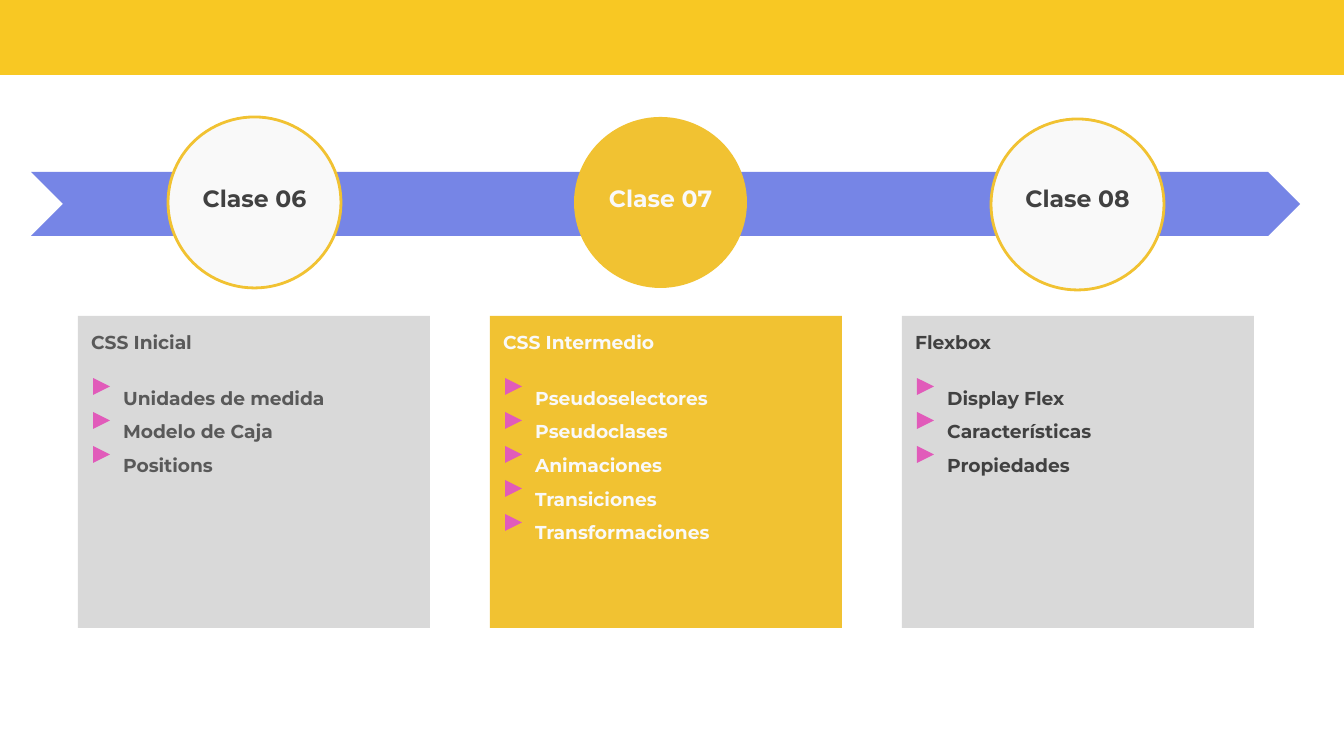
import pptx
import pptx.util
import pptx.dml.color
import pptx.enum.shapes
import pptx.enum.text

PX = 914400 / 134.4
FONT = "Montserrat"
GOLD, GREY, PALE, DARK = "F1C232", "D9D9D9", "F9F9F9", "414141"
SHAPE = pptx.enum.shapes.MSO_SHAPE
ALIGN = pptx.enum.text.PP_ALIGN


def px(length):
    return pptx.util.Emu(round(length * PX))


def color(value):
    return pptx.dml.color.RGBColor.from_string(value)


def add_block(slide, kind, box, fill, outline=None):
    block = slide.shapes.add_shape(kind, *map(px, box))
    block.shadow.inherit = False
    block.fill.solid()
    block.fill.fore_color.rgb = color(fill)
    if outline:
        block.line.color.rgb = color(outline)
        block.line.width = pptx.util.Pt(1.5)
    else:
        block.line.fill.background()
    return block


def add_text(slide, box, lines, size, ink, align):
    frame = slide.shapes.add_textbox(*map(px, box)).text_frame
    frame.word_wrap = True
    frame.margin_left = frame.margin_right = pptx.util.Inches(0.1)
    frame.margin_top = frame.margin_bottom = pptx.util.Inches(0.1)
    frame.text = "\n".join(lines)
    for paragraph in frame.paragraphs:
        paragraph.alignment = align
        for run in paragraph.runs:
            run.font.name = FONT
            run.font.size = pptx.util.Pt(size)
            run.font.bold = True
            run.font.color.rgb = color(ink)
    return frame.paragraphs


def add_class_circle(slide, box, label, fill, ink):
    left, top, width, height = box
    outline = GOLD if fill != GOLD else None
    add_block(slide, SHAPE.OVAL, box, fill, outline)
    add_text(slide, (left + 7, 171, width - 14, 44), [label], 12.6, ink,
             ALIGN.CENTER)


def add_topic_panel(slide, box, heading, topics, fill, ink):
    left, top, width, height = box
    add_block(slide, SHAPE.RECTANGLE, box, fill)
    paragraphs = add_text(slide, (left, top + 1, width, height),
                          [heading, *topics], 10, ink, ALIGN.LEFT)
    for row, topic in enumerate(paragraphs[1:]):
        topic.line_spacing = 1.5
        topic._p.get_or_add_pPr().set("marL", str(px(32)))
        if row == 0:
            topic.space_before = pptx.util.Pt(12)
        # Pink marker beside the topic
        marker = add_block(slide, SHAPE.ISOSCELES_TRIANGLE,
                           (left + 15, top + 62 + 34 * row, 17, 17), "E15BBA")
        marker.rotation = 90


def main():
    deck = pptx.Presentation()
    deck.slide_width, deck.slide_height = px(1344), px(756)
    slide = deck.slides.add_slide(deck.slide_layouts[6])

    # Top band and timeline
    add_block(slide, SHAPE.RECTANGLE, (-1, -7, 1348, 82), "F8C823")
    add_block(slide, SHAPE.CHEVRON, (31, 172, 1269, 64), "7685E6")

    # Classes along the timeline
    circles = [
        (168, 117, "Clase 06", PALE, DARK),
        (574, 117, "Clase 07", GOLD, PALE),
        (991, 119, "Clase 08", PALE, DARK),
    ]
    for left, top, label, fill, ink in circles:
        add_class_circle(slide, (left, top, 173, 171), label, fill, ink)

    # Topics of each class
    panels = [
        ("CSS Inicial", ["Unidades de medida", "Modelo de Caja", "Positions"],
         GREY, "595959"),
        ("CSS Intermedio", ["Pseudoselectores", "Pseudoclases", "Animaciones",
                            "Transiciones", "Transformaciones"], GOLD, PALE),
        ("Flexbox", ["Display Flex", "Características", "Propiedades"],
         GREY, DARK),
    ]
    for column, (heading, topics, fill, ink) in enumerate(panels):
        add_topic_panel(slide, (78 + 412 * column, 316, 352, 312),
                        heading, topics, fill, ink)

    deck.save("out.pptx")


if __name__ == "__main__":
    main()
